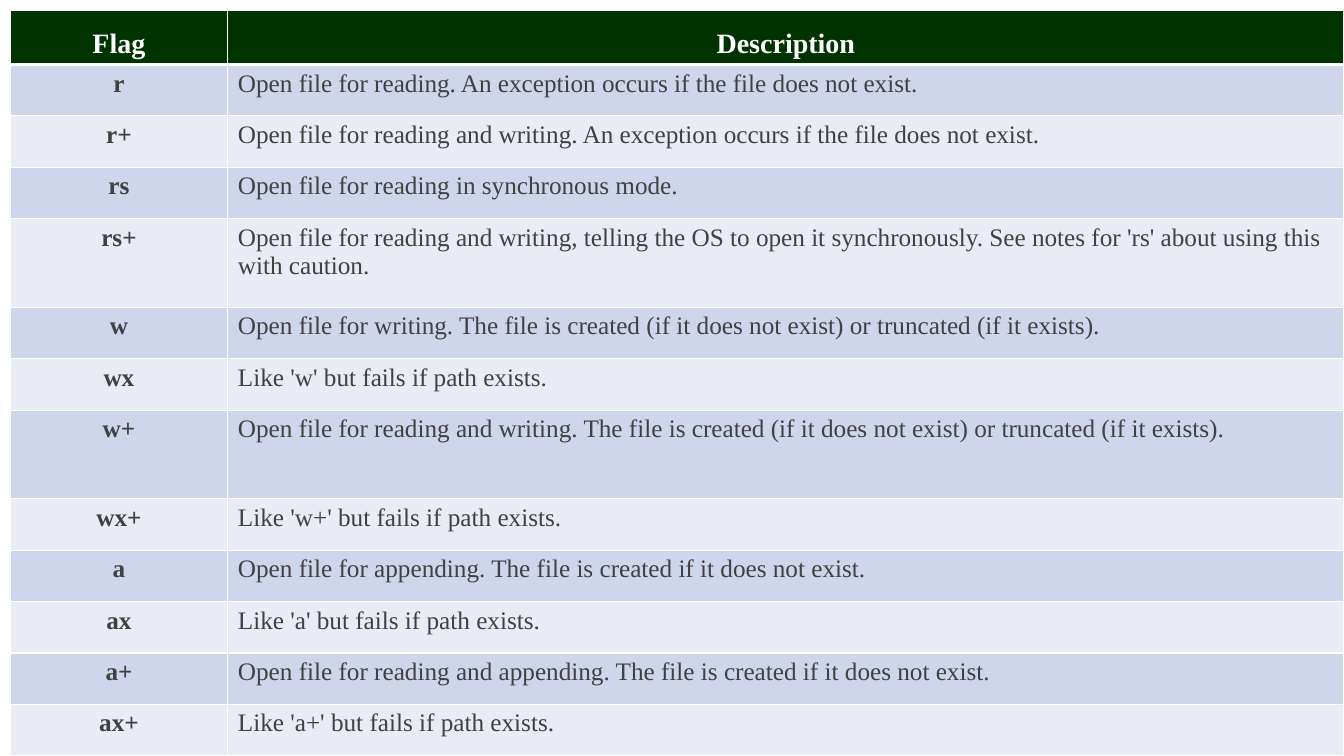
from lxml.etree import SubElement
from pptx import Presentation
from pptx.dml.color import RGBColor as RGB
from pptx.enum.text import MSO_ANCHOR as ANCHOR, PP_ALIGN as ALIGN
from pptx.oxml.ns import qn
from pptx.util import Inches, Pt

COLORS = {"header": "003300", "odd": "CFD5EA", "even": "E9EBF5",
          "line": "FFFFFF", "title": "FFFFFF", "text": "414141"}
FONT = "Times New Roman"
GRID_COLS, GRID_ROWS = 1333, 750
MARGIN, FLAG_COLS = 10, 216
HEADER_ROWS, LINE_ROWS, TALL_ROWS = 54, 51, 88
TALL_FLAGS = {"rs+", "w+"}

HEADINGS = ("Flag", "Description")
FLAGS = [
    ("r", "Open file for reading. An exception occurs if the file does not exist."),
    ("r+", "Open file for reading and writing. An exception occurs if the file does not exist."),
    ("rs", "Open file for reading in synchronous mode."),
    ("rs+", "Open file for reading and writing, telling the OS to open it synchronously. "
            "See notes for 'rs' about using this with caution."),
    ("w", "Open file for writing. The file is created (if it does not exist) "
          "or truncated (if it exists)."),
    ("wx", "Like 'w' but fails if path exists."),
    ("w+", "Open file for reading and writing. The file is created (if it does not exist) "
           "or truncated (if it exists)."),
    ("wx+", "Like 'w+' but fails if path exists."),
    ("a", "Open file for appending. The file is created if it does not exist."),
    ("ax", "Like 'a' but fails if path exists."),
    ("a+", "Open file for reading and appending. The file is created if it does not exist."),
    ("ax+", "Like 'a+' but fails if path exists."),
]


def write(tf, text, size=18, color="text", bold=False, align=ALIGN.LEFT):
    p = tf.paragraphs[0]
    p.alignment = align
    r = p.add_run()
    r.text = text
    r.font.name, r.font.size, r.font.bold = FONT, Pt(size), bold
    r.font.color.rgb = RGB.from_string(COLORS[color])


class Deck:
    def __init__(self):
        self.prs = Presentation()
        self.prs.slide_width, self.prs.slide_height = Inches(13.33), Inches(7.5)
        self.s = self.prs.slides.add_slide(self.prs.slide_layouts[6])

    def x(self, cols):
        return round(self.prs.slide_width * cols / GRID_COLS)

    def y(self, rows):
        return round(self.prs.slide_height * rows / GRID_ROWS)

    def table(self, left, top, widths, heights):
        frame = self.s.shapes.add_table(
            len(heights), len(widths), self.x(left), self.y(top),
            self.x(sum(widths)), self.y(sum(heights)))
        table = frame.table
        for column, width in zip(table.columns, widths):
            column.width = self.x(width)
        for row, height in zip(table.rows, heights):
            row.height = self.y(height)
        return table

    def cell(self, cell, text, fill, bottom=1, anchor=ANCHOR.TOP, **style):
        # Borders come before the fill in the cell properties
        tcPr = cell._tc.get_or_add_tcPr()
        for side, width in (("L", 1), ("R", 1), ("T", 1), ("B", bottom)):
            ln = SubElement(tcPr, qn(f"a:ln{side}"), w=str(Pt(width)))
            solid = SubElement(ln, qn("a:solidFill"))
            SubElement(solid, qn("a:srgbClr"), val=COLORS["line"])
        cell.fill.solid()
        cell.fill.fore_color.rgb = RGB.from_string(COLORS[fill])
        cell.vertical_anchor = anchor
        write(cell.text_frame, text, **style)


def main():
    deck = Deck()
    heights = [HEADER_ROWS] + [TALL_ROWS if flag in TALL_FLAGS else LINE_ROWS
                               for flag, _ in FLAGS]
    widths = [FLAG_COLS, GRID_COLS - MARGIN - FLAG_COLS]
    table = deck.table(MARGIN, MARGIN, widths, heights)

    # Header row
    for col, heading in enumerate(HEADINGS):
        deck.cell(table.cell(0, col), heading, "header", bottom=3, anchor=ANCHOR.BOTTOM,
                  size=20, color="title", bold=True, align=ALIGN.CENTER)

    # One banded row per flag
    for row, (flag, description) in enumerate(FLAGS, 1):
        fill = "odd" if row % 2 else "even"
        deck.cell(table.cell(row, 0), flag, fill, bold=True, align=ALIGN.CENTER)
        deck.cell(table.cell(row, 1), description, fill)

    deck.prs.save("out.pptx")


if __name__ == "__main__":
    main()
